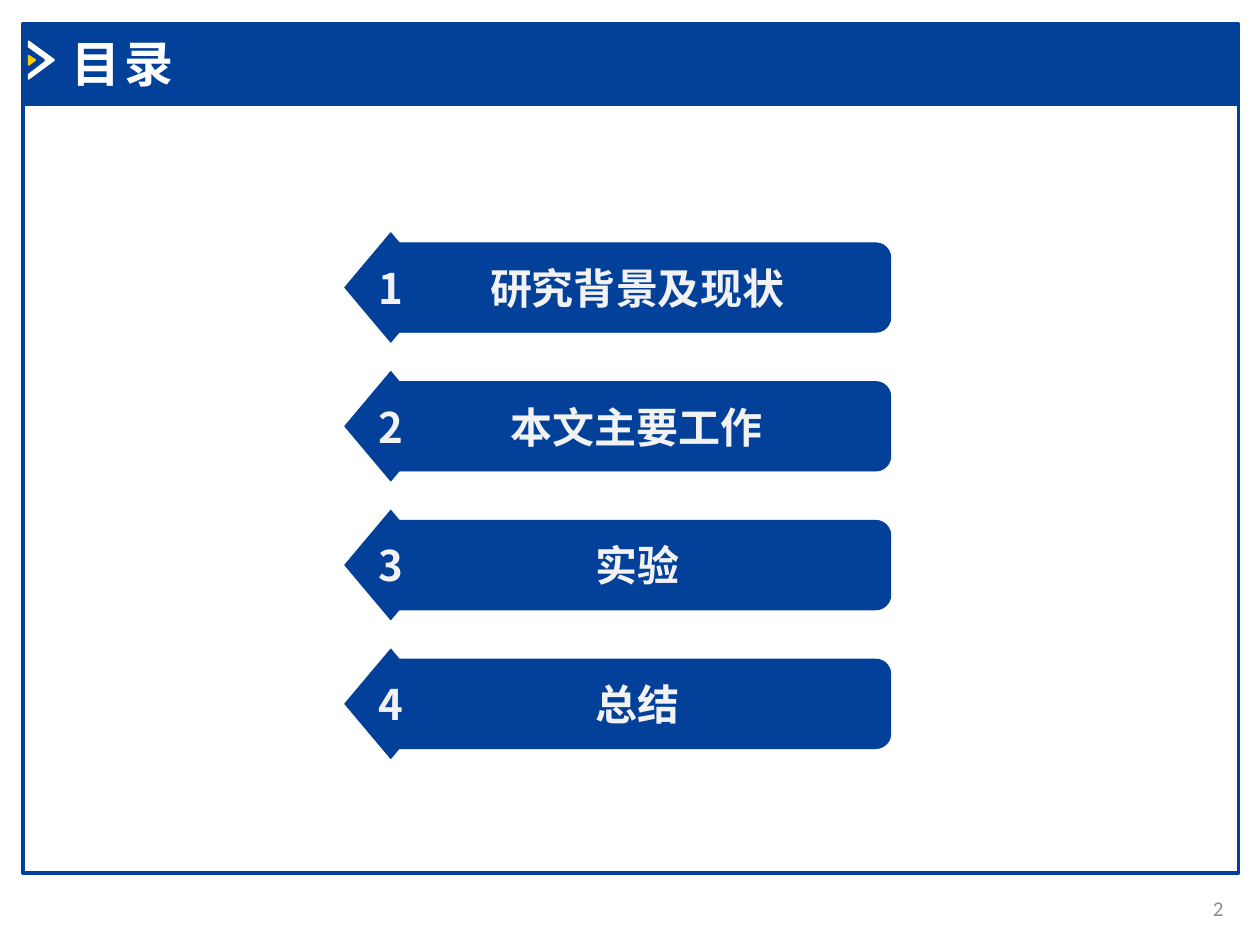
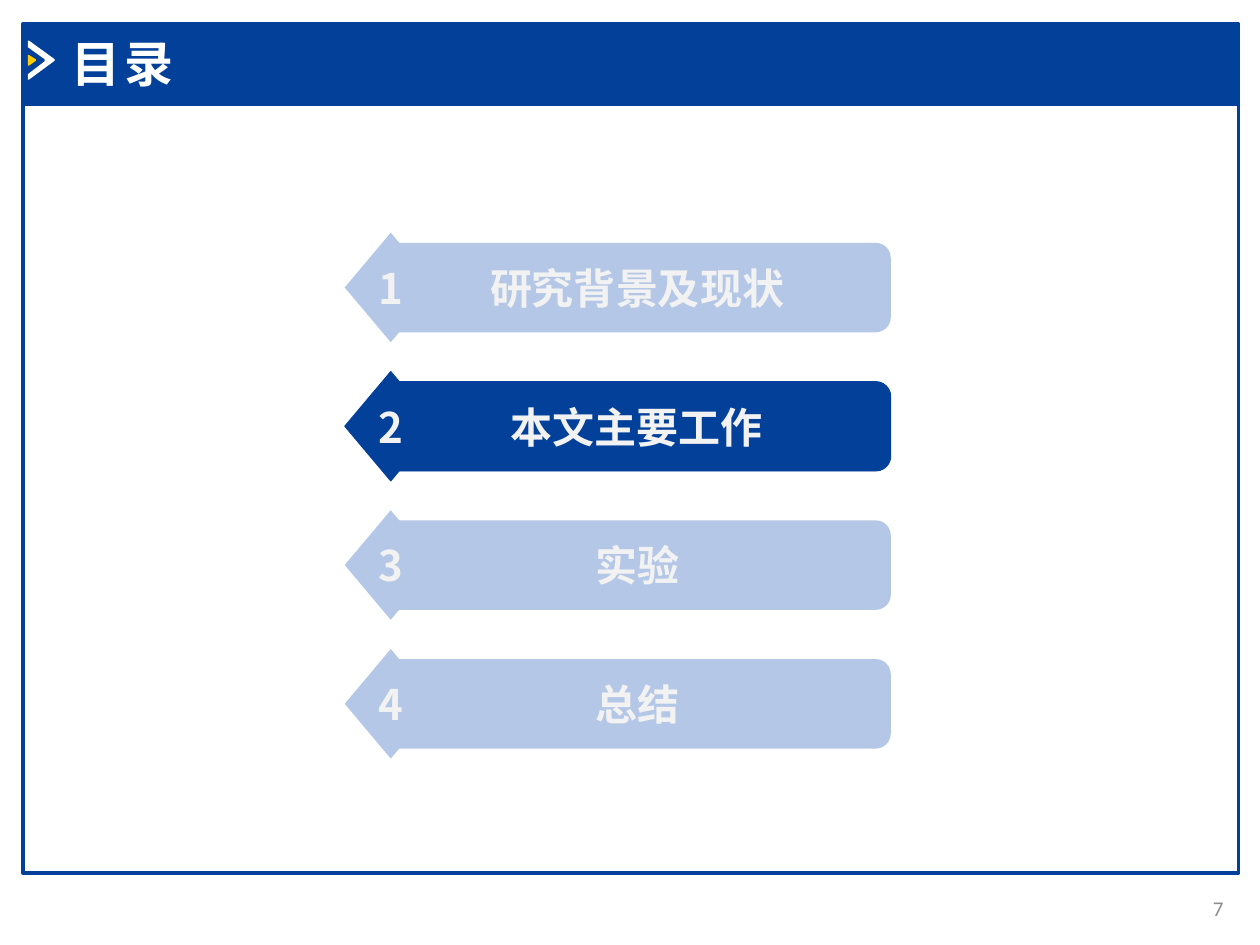
from dataclasses import dataclass

from lxml import etree
from pptx import Presentation
from pptx import util as u
from pptx.dml.color import RGBColor
from pptx.enum import shapes, text
from pptx.oxml.ns import qn

Pt = u.Pt
Kind = shapes.MSO_SHAPE
Align = text.PP_ALIGN
Anchor = text.MSO_ANCHOR
Fit = text.MSO_AUTO_SIZE


@dataclass(frozen=True)
class Theme:
    """Colours, fonts and type sizes of the deck."""
    navy: str = "02409A"
    pale: str = "B4C7E7"
    gold: str = "FFCC00"
    white: str = "FFFFFF"
    snow: str = "F2F2F2"
    gray: str = "8C8C8C"
    latin: str = "Calibri"
    asian: str = "Noto Sans CJK SC"
    head: int = 28
    item: int = 24
    page: int = 12


T = Theme()
ITEMS = ("研究背景及现状", "本文主要工作", "实验", "总结")
FRAME = (13, 13.7, 694.8, 485.2)
TITLE = (33.8, 15.8, 256.3, 41)
PAGE = (663.8, 504.7, 42.5, 28.8)
MENU = (197, 133, 312, 62.6)
PITCH = 79.3
BAND = 46


def pts(*nums):
    """Turn numbers into point lengths."""
    return [Pt(n) for n in nums]


def write(shape, words, size=T.item, color=T.snow, face=T.latin, bold=False,
          align=Align.CENTER, anchor=Anchor.MIDDLE, wrap=True,
          fit=Fit.NONE, gap=0):
    """Fill a shape with one formatted line of text."""
    frame = shape.text_frame
    frame.word_wrap, frame.auto_size = wrap, fit
    frame.vertical_anchor = anchor
    para = frame.paragraphs[0]
    para.alignment = align
    run = para.add_run()
    run.text = words
    font = run.font
    font.size, font.bold, font.name = Pt(size), bold, face
    font.color.rgb = RGBColor.from_string(color)
    for prop in shape.element.iter(qn("a:rPr")):
        etree.SubElement(prop, qn("a:ea")).set("typeface", T.asian)
        if gap:
            prop.set("spc", str(gap * 100))


def paint(shape, fill=None, line=None, width=0.5):
    """Set the fill and outline of a shape and drop its shadow."""
    shape.shadow.inherit = False
    if fill:
        shape.fill.solid()
        shape.fill.fore_color.rgb = RGBColor.from_string(fill)
    else:
        shape.fill.background()
    if line:
        shape.line.color.rgb = RGBColor.from_string(line)
        shape.line.width = Pt(width)
    else:
        shape.line.fill.background()
    return shape


def block(part, kind, box, **look):
    """Add a painted preset shape."""
    return paint(part.add_shape(kind, *pts(*box)), **look)


def outline(part, left, top, dots, fill):
    """Add a closed polygon with its dots relative to a corner."""
    first, *rest = [pts(left + x, top + y) for x, y in dots]
    pen = part.build_freeform(*first)
    pen.add_line_segments(rest, close=True)
    paint(pen.convert_to_shape(), fill=fill)


def border(slide, box):
    """Draw the title band, the body frame and the arrow mark."""
    left, top, wide, high = box
    group = slide.shapes.add_group_shape()
    part = group.shapes
    block(part, Kind.RECTANGLE, (left, top + BAND, wide, high - BAND),
          line=T.navy, width=2)
    block(part, Kind.RECTANGLE, (left, top, wide, BAND),
          fill=T.navy, line=T.navy, width=2)
    mark = left + 3, top + 9.5
    outline(part, *mark, ((0, 0), (0.6, 0), (15.3, 10.7), (15.3, 11.5),
                          (0.6, 22.3), (0, 22.3), (0, 19.2), (9.5, 11.9),
                          (9.5, 10.6), (0, 3.8)), T.white)
    outline(part, *mark, ((0, 8.2), (0.6, 8.2), (4.6, 10.7), (4.6, 11.5),
                          (0.6, 14.3), (0, 14.3)), T.gold)
    return group


def entry(slide, box, num, words, live):
    """Draw one agenda entry: a rounded bar with a numbered diamond."""
    left, top, wide, high = box
    part = slide.shapes.add_group_shape().shapes
    look = dict(fill=T.navy, line=T.navy) if live else dict(fill=T.pale)
    bar = block(part, Kind.ROUNDED_RECTANGLE,
                (left + 22, top + 5.75, wide - 22, high - 11.5), **look)
    write(bar, words, bold=True, wrap=False)
    tip = block(part, Kind.DIAMOND, (left, top, 52.6, high), **look)
    write(tip, str(num), face=T.asian, bold=True, wrap=False)


def menu(slide, box, live):
    """Stack the agenda entries at an equal pitch."""
    left, top, wide, high = box
    for row, words in enumerate(ITEMS):
        spot = left, top + row * PITCH, wide, high
        entry(slide, spot, row + 1, words, row + 1 in live)


def agenda(deck, layout, page, live):
    """Add an agenda slide with the live entries in full colour."""
    slide = deck.slides.add_slide(layout)
    head = slide.shapes.title
    head.left, head.top, head.width, head.height = pts(*TITLE)
    write(head, "目录", size=T.head, color=T.white, bold=True,
          align=Align.LEFT, anchor=Anchor.TOP,
          fit=Fit.SHAPE_TO_FIT_TEXT, gap=2)
    foot = slide.shapes.add_textbox(*pts(*PAGE))
    write(foot, str(page), size=T.page, color=T.gray, align=Align.RIGHT)
    menu(slide, MENU, live)
    return slide


def main():
    """Build and save the deck."""
    deck = Presentation()
    deck.slide_width, deck.slide_height = pts(720, 540)
    layout = deck.slide_layouts[5]
    for hold in list(layout.placeholders):
        if hold.placeholder_format.idx:
            hold.element.getparent().remove(hold.element)
    first = agenda(deck, layout, 2, {1, 2, 3, 4})
    layout.shapes.element.append(border(first, FRAME).element)
    agenda(deck, layout, 7, {2})
    deck.save("out.pptx")


if __name__ == "__main__":
    main()
